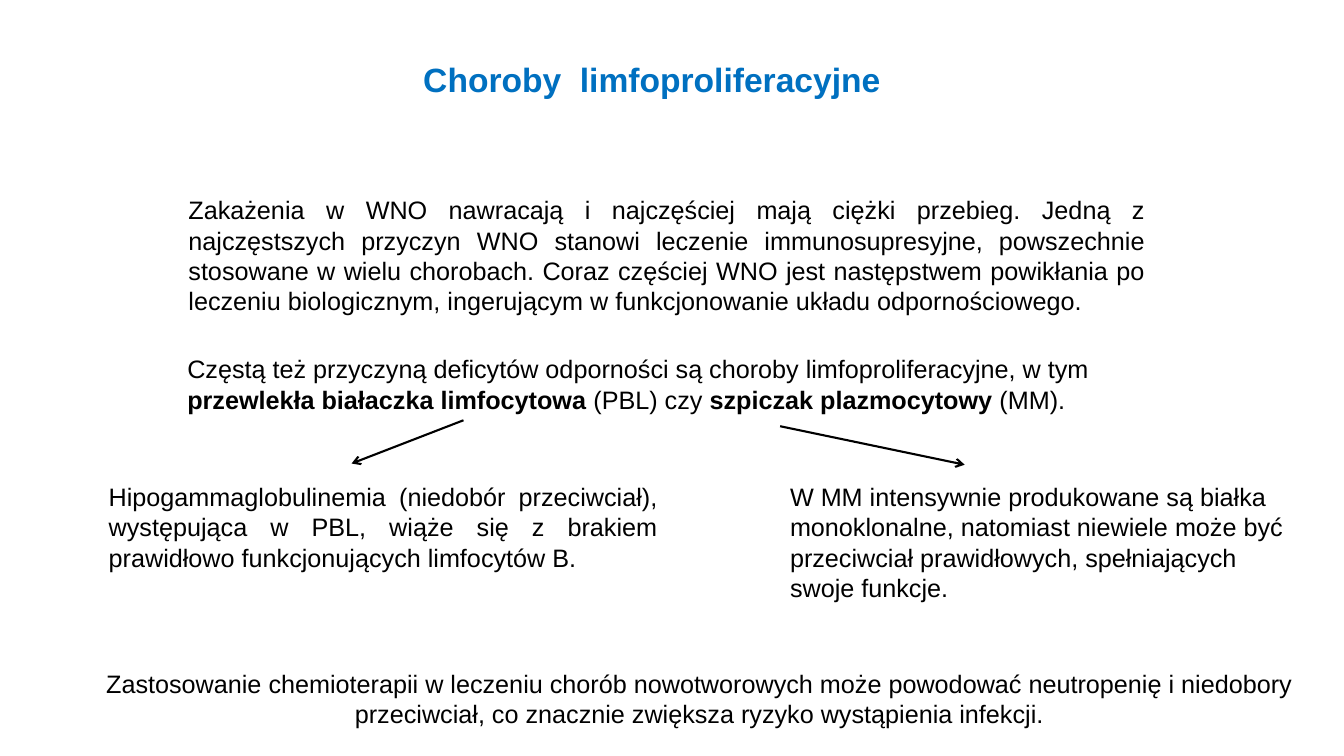
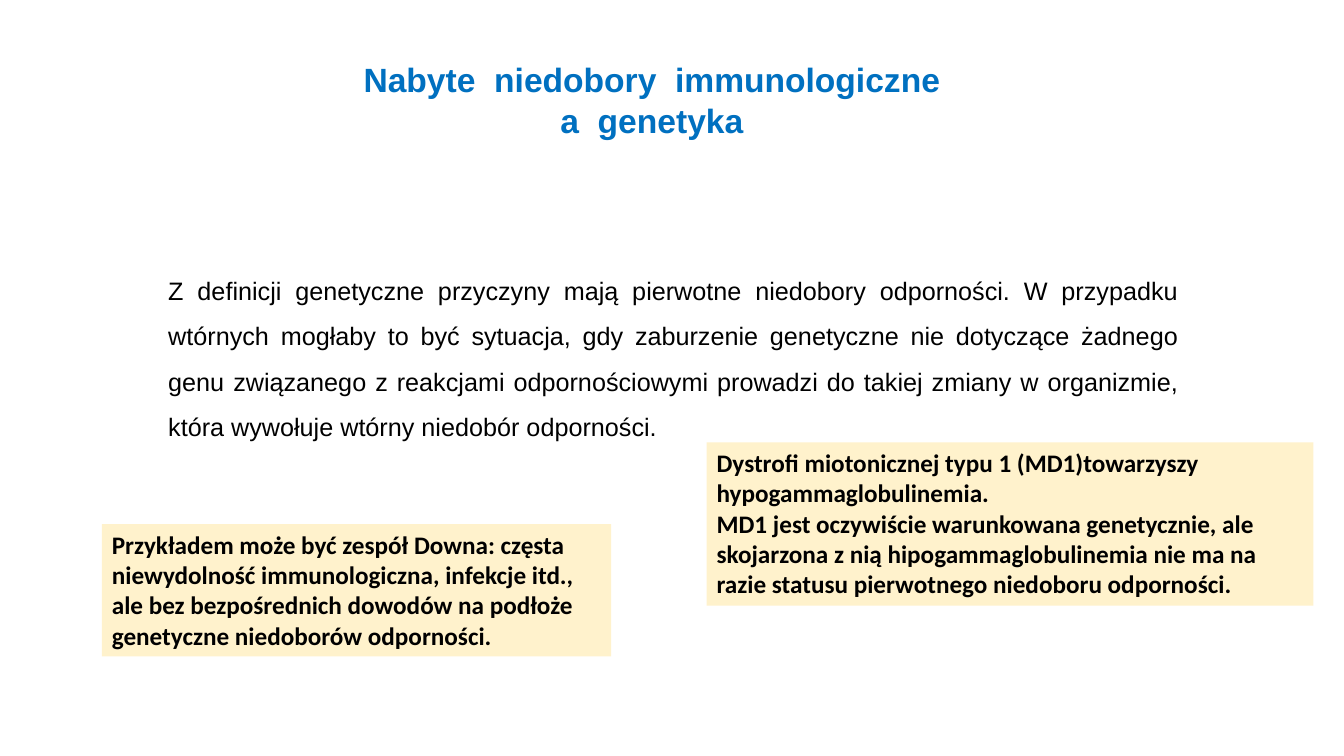
from lxml.etree import SubElement
from pptx import Presentation
from pptx.dml.color import RGBColor
from pptx.enum.shapes import MSO_CONNECTOR as Connector, MSO_SHAPE as Shape
from pptx.enum.text import MSO_ANCHOR as Anchor, MSO_AUTO_SIZE as AutoSize, PP_ALIGN as Align
from pptx.oxml.ns import qn
from pptx.util import Cm, Pt

BLUE, BLACK, CREAM = "0070C0", "000000", "FFF2CC"
TITLE_STYLE = dict(size=24, color=BLUE, bold=True, align=Align.CENTER)
NOTE_STYLE = dict(font="Calibri", bold=True)

# Boxes are (left, top, width, height) in cm. A paragraph is a list of (text, bold) runs or a plain string.
TITLE_BOX = (4.24, 1.37, 24.38)
TITLE_LINE = 1.03

SLIDES = [
    dict(
        title=["Choroby  limfoproliferacyjne"],
        texts=[
            ((4.5, 4.78, 24.61, 3.33), dict(align=Align.JUSTIFY), [
                "Zakażenia w WNO nawracają i najczęściej mają ciężki przebieg. Jedną "
                "z najczęstszych przyczyn WNO stanowi leczenie immunosupresyjne, powszechnie "
                "stosowane w wielu chorobach. Coraz częściej WNO jest następstwem powikłania po "
                "leczeniu biologicznym, ingerującym w funkcjonowanie układu odpornościowego."]),
            ((4.47, 8.79, 23.9, 1.8), {}, [[
                ("Częstą też przyczyną deficytów odporności są choroby limfoproliferacyjne, "
                 "w tym ", False),
                ("przewlekła białaczka limfocytowa ", True),
                ("(PBL) czy ", False),
                ("szpiczak plazmocytowy ", True),
                ("(MM).", False)]]),
            ((2.49, 12.01, 14.33, 2.57), dict(align=Align.JUSTIFY), [
                "Hipogammaglobulinemia (niedobór przeciwciał), występująca w PBL, wiąże się "
                "z brakiem prawidłowo funkcjonujących limfocytów B."]),
            ((19.66, 12.01, 13.28, 3.33), {}, [
                "W MM intensywnie produkowane są białka monoklonalne, natomiast niewiele może być "
                "przeciwciał prawidłowych, spełniających swoje funkcje."]),
            ((2.31, 16.71, 30.63, 1.8), dict(align=Align.CENTER), [
                "Zastosowanie chemioterapii w leczeniu chorób nowotworowych może powodować "
                "neutropenię i niedobory przeciwciał, co znacznie zwiększa ryzyko wystąpienia "
                "infekcji."]),
        ],
        notes=[],
        arrows=[(11.68, 10.59, 8.86, 11.68), (19.66, 10.74, 24.31, 11.71)],
    ),
    dict(
        title=["Nabyte  niedobory  immunologiczne", "a  genetyka"],
        texts=[
            ((3.99, 6.43, 25.96, 4.72), dict(align=Align.JUSTIFY, spacing=1.5), [
                "Z definicji genetyczne przyczyny mają pierwotne niedobory odporności. W przypadku "
                "wtórnych mogłaby to być sytuacja, gdy zaburzenie genetyczne nie dotyczące żadnego "
                "genu związanego z reakcjami odpornościowymi prowadzi do takiej zmiany w organizmie, "
                "która wywołuje wtórny niedobór odporności."]),
        ],
        notes=[
            ((2.57, 13.21, 12.83, 3.33), [
                "Przykładem może być zespół Downa: częsta niewydolność immunologiczna, infekcje itd., "
                "ale bez bezpośrednich dowodów na podłoże genetyczne niedoborów odporności."]),
            ((17.81, 11.15, 15.29, 4.11), [
                "Dystrofi miotonicznej typu 1 (MD1)towarzyszy hypogammaglobulinemia.",
                "MD1 jest oczywiście warunkowana genetycznie, ale skojarzona z nią "
                "hipogammaglobulinemia nie ma na razie statusu pierwotnego niedoboru odporności."]),
        ],
        arrows=[],
    ),
]


def rgb(code):
    return RGBColor.from_string(code)


def write(frame, paragraphs, size=18, font="Arial", color=BLACK, bold=False,
          align=Align.LEFT, spacing=None):
    frame.word_wrap = True
    frame.auto_size = AutoSize.SHAPE_TO_FIT_TEXT
    frame.vertical_anchor = Anchor.TOP
    for index, content in enumerate(paragraphs):
        paragraph = frame.add_paragraph() if index else frame.paragraphs[0]
        paragraph.alignment = align
        if spacing:
            paragraph.line_spacing = spacing
        runs = [(content, bold)] if isinstance(content, str) else content
        for words, strong in runs:
            run = paragraph.add_run()
            run.text = words
            run.font.name, run.font.size, run.font.bold = font, Pt(size), strong
            run.font.color.rgb = rgb(color)


def add_text(slide, box, paragraphs, **style):
    write(slide.shapes.add_textbox(*map(Cm, box)).text_frame, paragraphs, **style)


def add_note(slide, box, paragraphs):
    note = slide.shapes.add_shape(Shape.RECTANGLE, *map(Cm, box))
    note.shadow.inherit = False
    note.fill.solid()
    note.fill.fore_color.rgb = rgb(CREAM)
    note.line.fill.background()
    write(note.text_frame, paragraphs, **NOTE_STYLE)


def add_arrow(slide, ends):
    arrow = slide.shapes.add_connector(Connector.STRAIGHT, *map(Cm, ends))
    arrow.line.color.rgb = rgb(BLACK)
    arrow.line.width = Pt(1.5)
    properties = arrow.line._get_or_add_ln()
    SubElement(properties, qn("a:tailEnd"), type="arrow")
    SubElement(properties.getparent(), qn("a:effectLst"))


def main():
    deck = Presentation()
    deck.slide_width, deck.slide_height = Cm(33.87), Cm(19.05)
    for content in SLIDES:
        slide = deck.slides.add_slide(deck.slide_layouts[6])
        title = content["title"]
        title_height = 0.25 + TITLE_LINE * len(title)
        add_text(slide, (*TITLE_BOX, title_height), title, **TITLE_STYLE)
        for box, style, paragraphs in content["texts"]:
            add_text(slide, box, paragraphs, **style)
        for box, paragraphs in content["notes"]:
            add_note(slide, box, paragraphs)
        for ends in content["arrows"]:
            add_arrow(slide, ends)
    deck.save("out.pptx")


if __name__ == "__main__":
    main()
